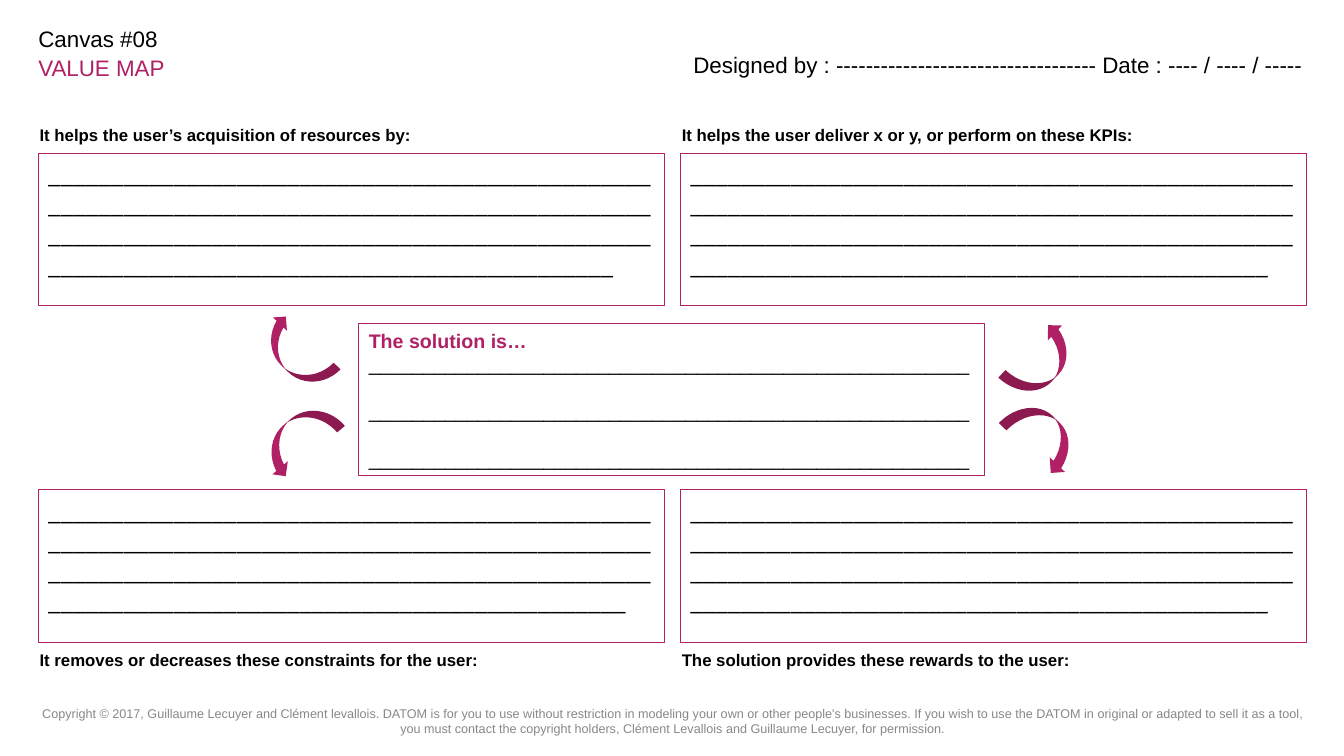
from dataclasses import dataclass

from pptx import Presentation
from pptx.dml.color import RGBColor
from pptx.enum.shapes import MSO_SHAPE as Shape
from pptx.enum.text import MSO_ANCHOR as Anchor, MSO_AUTO_SIZE as AutoSize, PP_ALIGN as Align
from pptx.util import Inches, Pt


@dataclass(frozen=True)
class Theme:
    accent: RGBColor = RGBColor(0xB0, 0x20, 0x65)
    ink: RGBColor = RGBColor(0, 0, 0)
    muted: RGBColor = RGBColor(0x88, 0x88, 0x88)
    font: str = "Arial"
    ruling_font: str = "Calibri"
    heading: int = 16
    ruling: int = 18
    solution: int = 14
    caption: int = 12
    footer: int = 9


THEME = Theme()
WIDTH, HEIGHT = Inches(13.33), Inches(7.5)
BOX_WIDTH, BOX_HEIGHT = 46.58, 20.13
LEFT, RIGHT = 2.85, 50.63
UPPER, LOWER = 20.27, 64.8
UPPER_CAPTION, LOWER_CAPTION = 15.1, 84.67

# column, row, caption row, caption, number of underscores
PANELS = [
    (LEFT, UPPER, UPPER_CAPTION, "It helps the user’s acquisition of resources by:", 189),
    (RIGHT, UPPER, UPPER_CAPTION, "It helps the user deliver x or y, or perform on these KPIs:", 190),
    (LEFT, LOWER, LOWER_CAPTION, "It removes or decreases these constraints for the user:", 190),
    (RIGHT, LOWER, LOWER_CAPTION, "The solution provides these rewards to the user:", 190),
]
# column, row, columns, rows, rotation, mirrored
ARROWS = [
    (20.63, 41.07, 2.85, 11.33, 134.1, True),
    (75.98, 42.4, 3.08, 10.93, 223.5, False),
    (76.05, 52.27, 3.15, 10.93, 313.9, True),
    (20.7, 52.27, 3, 11.6, 49.6, False),
]
COPYRIGHT = (
    "Copyright © 2017, Guillaume Lecuyer and Clément levallois. DATOM is for you to use without "
    "restriction in modeling your own or other people's businesses. If you wish to use the DATOM in "
    "original or adapted to sell it as a tool, you must contact the copyright holders, "
    "Clément Levallois and Guillaume Lecuyer, for permission."
)


def grid(column, row, columns, rows):
    """Turn cells of a 100 by 100 grid into slide lengths."""
    return (int(WIDTH * column / 100), int(HEIGHT * row / 100),
            int(WIDTH * columns / 100), int(HEIGHT * rows / 100))


def write(paragraph, text, size, color=THEME.ink, font=THEME.font, bold=False,
          align=Align.LEFT, before=0, after=0, spacing=None):
    paragraph.alignment = align
    paragraph.space_before, paragraph.space_after = Pt(before), Pt(after)
    if spacing:
        paragraph.line_spacing = spacing
    run = paragraph.add_run()
    run.text = text
    run.font.size, run.font.name, run.font.bold = Pt(size), font, bold
    run.font.color.rgb = color


def prepare_frame(shape, inset=0.1, anchor=Anchor.TOP):
    frame = shape.text_frame
    frame.word_wrap = True
    frame.auto_size = AutoSize.NONE
    frame.vertical_anchor = anchor
    frame.margin_left = frame.margin_right = Inches(0.1)
    frame.margin_top = frame.margin_bottom = Inches(inset)
    return frame


def add_text(slide, cells, text, size, inset=0.1, anchor=Anchor.TOP, **text_format):
    frame = prepare_frame(slide.shapes.add_textbox(*grid(*cells)), inset, anchor)
    write(frame.paragraphs[0], text, size, **text_format)


def add_title(slide):
    title = slide.shapes.title
    title.left, title.top, title.width, title.height = grid(2.1, 1.87, 47.93, 5.87)
    paragraph = prepare_frame(title).paragraphs[0]
    write(paragraph, "Canvas #08", THEME.heading, spacing=1.05)
    paragraph.add_line_break()
    write(paragraph, "VALUE MAP", THEME.heading, color=THEME.accent)


def add_box(slide, column, row):
    """Add an outlined box and return its text frame."""
    box = slide.shapes.add_shape(Shape.RECTANGLE, *grid(column, row, BOX_WIDTH, BOX_HEIGHT))
    box.shadow.inherit = False
    box.fill.background()
    box.line.color.rgb = THEME.accent
    box.line.width = Pt(0.75)
    return prepare_frame(box, inset=0.05)


def add_panel(slide, column, row, caption_row, caption, underscores):
    add_text(slide, (column - 0.64, caption_row, 45, 5.2), caption, THEME.caption, bold=True)
    write(add_box(slide, column, row).paragraphs[0], "_" * underscores, THEME.ruling,
          font=THEME.ruling_font, align=Align.JUSTIFY)


def add_solution(slide):
    frame = add_box(slide, 26.7, 42.8)
    write(frame.paragraphs[0], "The solution is…", THEME.solution, color=THEME.accent, bold=True)
    for before in (0, 17, 17):
        write(frame.add_paragraph(), "_" * 55, THEME.solution, before=before)


def add_arrow(slide, column, row, columns, rows, rotation, mirrored):
    arrow = slide.shapes.add_shape(Shape.CURVED_RIGHT_ARROW, *grid(column, row, columns, rows))
    arrow.shadow.inherit = False
    arrow.fill.solid()
    arrow.fill.fore_color.rgb = THEME.accent
    arrow.line.fill.background()
    arrow.rotation = rotation
    if mirrored:
        arrow.element.spPr.xfrm.set("flipH", "1")


def main():
    presentation = Presentation()
    presentation.slide_width, presentation.slide_height = WIDTH, HEIGHT
    slide = presentation.slides.add_slide(presentation.slide_layouts[5])
    add_title(slide)
    add_text(slide, (50.85, 1.87, 47.93, 5.87),
             "Designed by : ----------------------------------- Date : ---- / ---- / -----",
             THEME.heading, spacing=2.0, after=6)
    for panel in PANELS:
        add_panel(slide, *panel)
    add_solution(slide)
    for arrow in ARROWS:
        add_arrow(slide, *arrow)
    add_text(slide, (2.33, 91.6, 95.4, 7.47), COPYRIGHT, THEME.footer, inset=0.05,
             anchor=Anchor.MIDDLE, color=THEME.muted, align=Align.CENTER)
    presentation.save("out.pptx")


if __name__ == "__main__":
    main()
